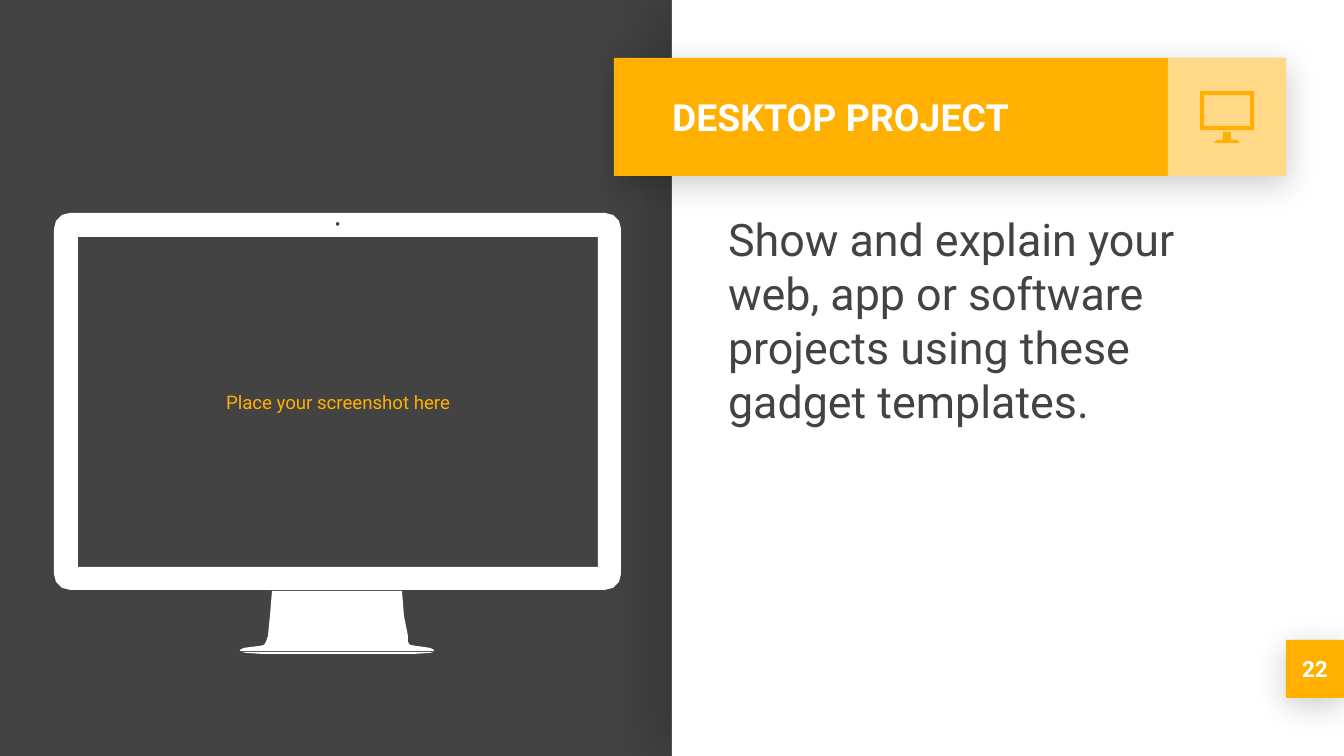
from dataclasses import dataclass
from math import cos, pi, sin

from lxml.etree import SubElement as Sub
from pptx import Presentation
from pptx.dml.color import RGBColor as RGB
from pptx.enum.shapes import MSO_SHAPE as Shape
from pptx.enum.text import MSO_ANCHOR as Anchor, PP_ALIGN as Align
from pptx.oxml.ns import qn
from pptx.util import Pt

EMU_PER_PX = 9144000 / 1344


@dataclass(frozen=True)
class Theme:
    dark: RGB = RGB(0x43, 0x43, 0x43)
    accent: RGB = RGB(0xFF, 0xB0, 0x00)
    white: RGB = RGB(0xFF, 0xFF, 0xFF)
    font: str = "Roboto"
    title: int = 20
    body: int = 24
    label: int = 10
    number: int = 12


T = Theme()


def px(n):
    return round(n * EMU_PER_PX)


def paint(s, color):
    s.shadow.inherit = False
    s.fill.solid()
    s.fill.fore_color.rgb = color
    s.line.fill.background()
    return s


def add_rect(shapes, x, y, w, h, color):
    return paint(shapes.add_shape(Shape.RECTANGLE, px(x), px(y), px(w), px(h)), color)


def add_alpha(color_el, percent):
    Sub(color_el, qn("a:alpha"), val=str(percent * 1000))


def add_shadow(s, alpha, blur, dist, angle):
    effects = s._element.spPr.find(qn("a:effectLst"))
    shadow = Sub(effects, qn("a:outerShdw"), blurRad=str(Pt(blur)), dist=str(Pt(dist)),
                 dir=str(angle * 60000), algn="bl", rotWithShape="0")
    add_alpha(Sub(shadow, qn("a:srgbClr"), val="000000"), alpha)


def add_outline(shapes, x, y, contours, color):
    """Closed contours in px, relative to (x, y), drawn as one shape."""
    fb = shapes.build_freeform(*contours[0][0], scale=EMU_PER_PX)
    for i, points in enumerate(contours):
        if i:
            fb.move_to(*points[0])
        fb.add_line_segments(points[1:], close=True)
    return paint(fb.convert_to_shape(px(x), px(y)), color)


def box_points(x, y, w, h):
    return [(x, y), (x + w, y), (x + w, y + h), (x, y + h)]


def arc(cx, cy, r, start, sweep, steps):
    angles = [start + sweep * i / steps for i in range(steps + 1)]
    return [(cx + r * cos(a), cy + r * sin(a)) for a in angles]


def round_box(w, h, r):
    corners = [(r, r), (w - r, r), (w - r, h - r), (r, h - r)]
    return [point for i, (cx, cy) in enumerate(corners)
            for point in arc(cx, cy, r, pi + i * pi / 2, pi / 2, 6)]


def mirrored(cx, profile):
    """Left profile of (distance from centre, y), closed by its mirror image."""
    return ([(cx - d, y) for d, y in profile]
            + [(cx + d, y) for d, y in reversed(profile)])


def set_text(s, text, size, color, bold=False, align=Align.LEFT, anchor=Anchor.MIDDLE):
    tf = s.text_frame
    tf.word_wrap = True
    tf.vertical_anchor = anchor
    tf.margin_left = tf.margin_right = tf.margin_top = tf.margin_bottom = px(13)
    p = tf.paragraphs[0]
    p.text = text
    p.alignment = align
    p.font.name = T.font
    p.font.size = Pt(size)
    p.font.bold = bold
    p.font.color.rgb = color
    return p


def add_text(shapes, x, y, w, h, *args, **kwargs):
    s = shapes.add_textbox(px(x), px(y), px(w), px(h))
    return set_text(s, *args, **kwargs)


def add_panel(shapes, x, y, w, h):
    add_shadow(add_rect(shapes, x, y, w, h, T.white), 15, 22.5, 15, 180)
    p = add_text(shapes, x + 43, y + 199, w - 117, 431,
                 "Show and explain your web, app or software projects using these "
                 "gadget templates.", T.body, T.dark, anchor=Anchor.TOP)
    p.space_before = Pt(6)


def add_banner(shapes, x, y, w, h):
    add_shadow(add_rect(shapes, x, y, w, h, T.accent), 20, 16.9, 3.8, 90)
    add_text(shapes, x + 45, y, w - h - 45, h, "DESKTOP PROJECT",
             T.title, T.white, bold=True)
    # Square icon tile at the right end
    tile_x = x + w - h
    tile = add_rect(shapes, tile_x, y, h, h, T.white)
    add_alpha(tile._element.spPr.find(".//" + qn("a:srgbClr")), 53)
    add_icon(shapes, tile_x + 32, y + 33, 54, 39)


def add_icon(shapes, x, y, w, h):
    icon = shapes.add_group_shape().shapes
    # Foot
    foot = [(4, h + 2), (4, h + 10), (10, h + 10), (13, h + 13)]
    add_outline(icon, x, y, [mirrored(w / 2, foot)], T.accent)
    # Screen frame
    frame = [round_box(w, h, 1), box_points(4, 4, w - 8, h - 8)]
    add_outline(icon, x, y, frame, T.accent)


def add_monitor(shapes, x, y, w, h):
    cx = w / 2
    screen = (24, 24, w - 47, h - 47)
    stand = [(65, h + 1), (67, h + 26), (70, h + 46), (71, h + 52), (73, h + 55),
             (78, h + 56), (93, h + 58), (97, h + 60), (97, h + 61)]
    base = [(96, h + 62), (92, h + 63), (76, h + 64)]
    contours = [round_box(w, h, 16), box_points(*screen),
                arc(cx, 11, 2, 0, 2 * pi, 16),  # camera
                mirrored(cx, stand), mirrored(cx, base)]
    add_outline(shapes, x, y, contours, T.white)
    # Screen label
    sx, sy, sw, sh = screen
    add_text(shapes, x + sx, y + sy, sw, sh, "Place your screenshot here",
             T.label, T.accent, align=Align.CENTER)


def add_page_number(shapes, x, y, w, h):
    s = add_rect(shapes, x, y, w, h, T.accent)
    add_shadow(s, 20, 16.9, 3.8, 90)
    set_text(s, "22", T.number, T.white, bold=True, align=Align.CENTER)


def main():
    prs = Presentation()
    prs.slide_width, prs.slide_height = px(1344), px(756)
    slide = prs.slides.add_slide(prs.slide_layouts[6])
    slide.background.fill.solid()
    slide.background.fill.fore_color.rgb = T.dark

    add_panel(slide.shapes, 672, 0, 672, 756)
    add_banner(slide.shapes, 614, 58, 672, 118)
    add_monitor(slide.shapes, 54, 213, 567, 377)
    add_page_number(slide.shapes, 1286, 640, 58, 58)
    prs.save("out.pptx")


if __name__ == "__main__":
    main()
